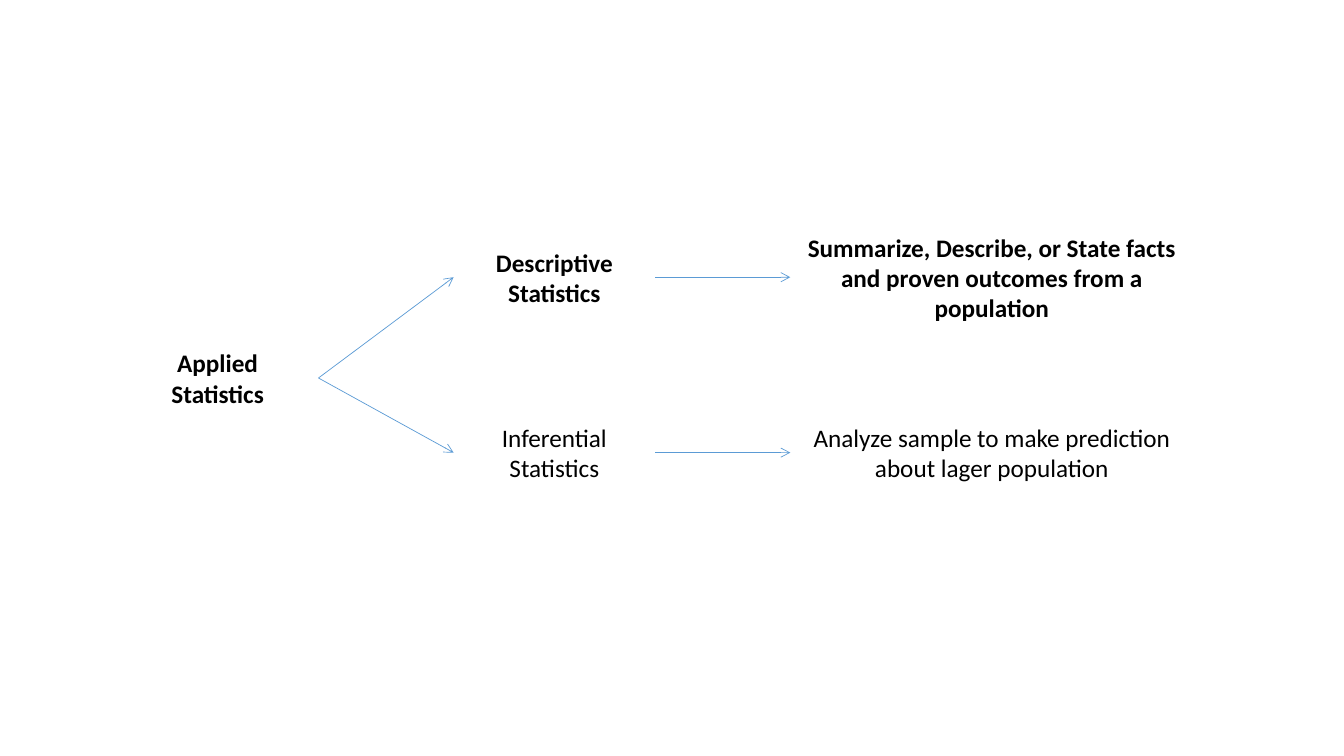
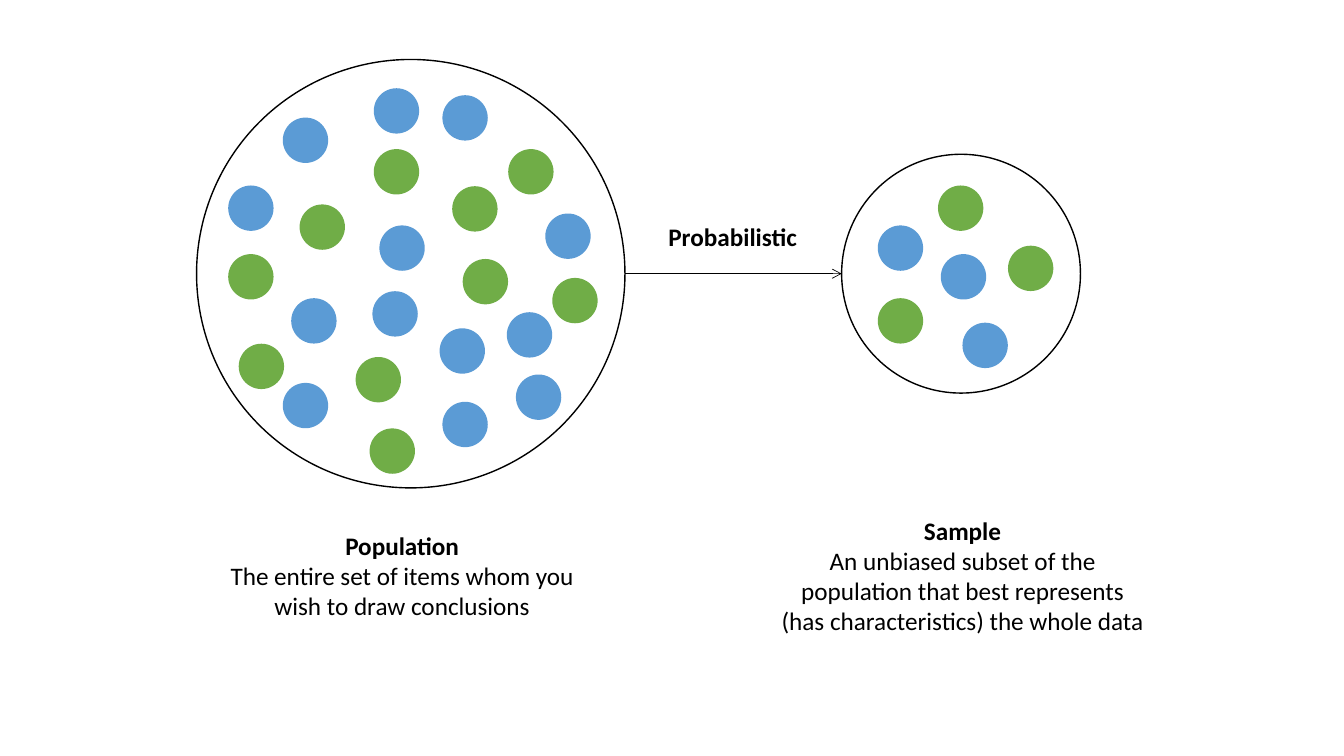
from dataclasses import dataclass

from lxml import etree
from pptx import Presentation
from pptx.dml.color import RGBColor
from pptx.enum.shapes import MSO_CONNECTOR, MSO_SHAPE
from pptx.enum.text import MSO_ANCHOR, PP_ALIGN
from pptx.oxml.ns import qn
from pptx.shapes.autoshape import Shape
from pptx.util import Pt

ROUNDED = MSO_SHAPE.ROUNDED_RECTANGLE
OVAL = MSO_SHAPE.OVAL
STRAIGHT = MSO_CONNECTOR.STRAIGHT
CENTER = PP_ALIGN.CENTER
MIDDLE = MSO_ANCHOR.MIDDLE

COLORS = {"white": "FFFFFF", "black": "000000", "blue": "5B9BD5", "green": "70AD47"}
FONT_NAME = "Calibri"
FONT_SIZE = 18
DOT_SIZE = 32.4
ARROW_WIDTH = 0.5
CIRCLE_MIDDLE = 195.5


@dataclass(frozen=True)
class Line:
    text: str
    bold: bool = False


@dataclass(frozen=True)
class Box:
    left: float
    middle: float
    width: float
    height: float
    lines: tuple[Line, ...]

    @property
    def right(self) -> float:
        return self.left + self.width


@dataclass(frozen=True)
class Circle:
    """A ring holding dots; dot positions are their top left corners."""
    left: float
    diameter: float
    dots: dict[str, tuple[tuple[float, float], ...]]

    @property
    def right(self) -> float:
        return self.left + self.diameter


# Slide 1: three columns, two branches
COLUMN_GAP = 96.5
ROOT_LEFT, BRANCH_WIDTH = 83.5, 144
BRANCH_LEFT = ROOT_LEFT + BRANCH_WIDTH + COLUMN_GAP
MEANING_LEFT = BRANCH_LEFT + BRANCH_WIDTH + COLUMN_GAP

ROOT = Box(ROOT_LEFT, 270, BRANCH_WIDTH, 72, (Line("Applied Statistics", True),))
BRANCHES = (
    (198, Line("Descriptive Statistics", True),
     Line("Summarize, Describe, or State facts and proven outcomes from a population", True)),
    (323.3, Line("Inferential Statistics"),
     Line("Analyze sample to make prediction about lager population")),
)

# Slide 2: population and sample
POPULATION = Circle(140.4, 306, {
    "blue": ((202, 84), (267, 63), (208, 213), (271, 161), (362, 223),
             (316, 287), (266, 208), (163, 132.5), (389.5, 152.5), (202, 273.5),
             (368.5, 267.5), (314, 234.5), (316, 68)),
    "green": ((323, 133), (267, 106.5), (163, 181.5), (170.5, 245.5), (254, 255),
              (214, 146), (363, 106.5), (330.5, 185), (394.5, 198.5), (264, 306)),
})
SAMPLE = Circle(601.2, 170.6, {
    "green": ((670, 132.5), (720, 175.5), (627, 213)),
    "blue": ((627, 161), (687.5, 230.5), (672, 181.5)),
})
CAPTIONS = (
    Box(143.3, 411, 288, 108, (
        Line("Population", True),
        Line("The entire set of items whom you wish to draw conclusions"))),
    Box(543.6, 411, 288, 108, (
        Line("Sample", True),
        Line("An unbiased subset of the population that best represents "
             "(has characteristics) the whole data"))),
    Box(451.4, 169.2, 144, 33, (Line("Probabilistic", True),)),
)


def rgb(color: str) -> RGBColor:
    return RGBColor.from_string(COLORS[color])


def add_filled(shapes, kind, left: float, top: float, width: float, height: float,
               fill: str, outline: str | None = None) -> Shape:
    shape = shapes.add_shape(kind, Pt(left), Pt(top), Pt(width), Pt(height))
    shape.shadow.inherit = False
    shape.fill.solid()
    shape.fill.fore_color.rgb = rgb(fill)
    if outline:
        shape.line.color.rgb = rgb(outline)
        shape.line.width = Pt(1)
    else:
        shape.line.fill.background()
    return shape


def add_box(slide, box: Box) -> None:
    shape = add_filled(slide.shapes, ROUNDED, box.left, box.middle - box.height / 2,
                       box.width, box.height, "white")
    frame = shape.text_frame
    frame.word_wrap = True
    frame.vertical_anchor = MIDDLE
    for index, line in enumerate(box.lines):
        paragraph = frame.add_paragraph() if index else frame.paragraphs[0]
        paragraph.text = line.text
        paragraph.alignment = CENTER
        font = paragraph.font
        font.name = FONT_NAME
        font.size = Pt(FONT_SIZE)
        font.bold = line.bold
        font.color.rgb = rgb("black")


def add_arrow(slide, start: tuple[float, float], end: tuple[float, float], color: str) -> None:
    connector = slide.shapes.add_connector(STRAIGHT, *map(Pt, start + end))
    connector.line.color.rgb = rgb(color)
    connector.line.width = Pt(ARROW_WIDTH)
    properties = connector.element.spPr
    etree.SubElement(properties.find(qn("a:ln")), qn("a:tailEnd"), type="arrow")
    etree.SubElement(properties, qn("a:effectLst"))


def join_boxes(slide, source: Box, target: Box) -> None:
    add_arrow(slide, (source.right, source.middle), (target.left, target.middle), "blue")


def add_circle(slide, circle: Circle) -> None:
    shapes = slide.shapes.add_group_shape().shapes
    add_filled(shapes, OVAL, circle.left, CIRCLE_MIDDLE - circle.diameter / 2,
               circle.diameter, circle.diameter, "white", "black")
    for color, positions in circle.dots.items():
        for left, top in positions:
            add_filled(shapes, OVAL, left, top, DOT_SIZE, DOT_SIZE, color)


def build_branches(slide) -> None:
    add_box(slide, ROOT)
    for middle, name, meaning in BRANCHES:
        branch = Box(BRANCH_LEFT, middle, BRANCH_WIDTH, 72, (name,))
        explanation = Box(MEANING_LEFT, middle, 288, 108, (meaning,))
        add_box(slide, branch)
        add_box(slide, explanation)
        join_boxes(slide, ROOT, branch)
        join_boxes(slide, branch, explanation)


def build_sampling(slide) -> None:
    for circle in (POPULATION, SAMPLE):
        add_circle(slide, circle)
    add_arrow(slide, (POPULATION.right, CIRCLE_MIDDLE), (SAMPLE.left, CIRCLE_MIDDLE), "black")
    for caption in CAPTIONS:
        add_box(slide, caption)


def main() -> None:
    presentation = Presentation()
    presentation.slide_width = Pt(960)
    presentation.slide_height = Pt(540)
    blank = presentation.slide_layouts[6]
    for build in (build_branches, build_sampling):
        build(presentation.slides.add_slide(blank))
    presentation.save("out.pptx")


if __name__ == "__main__":
    main()
